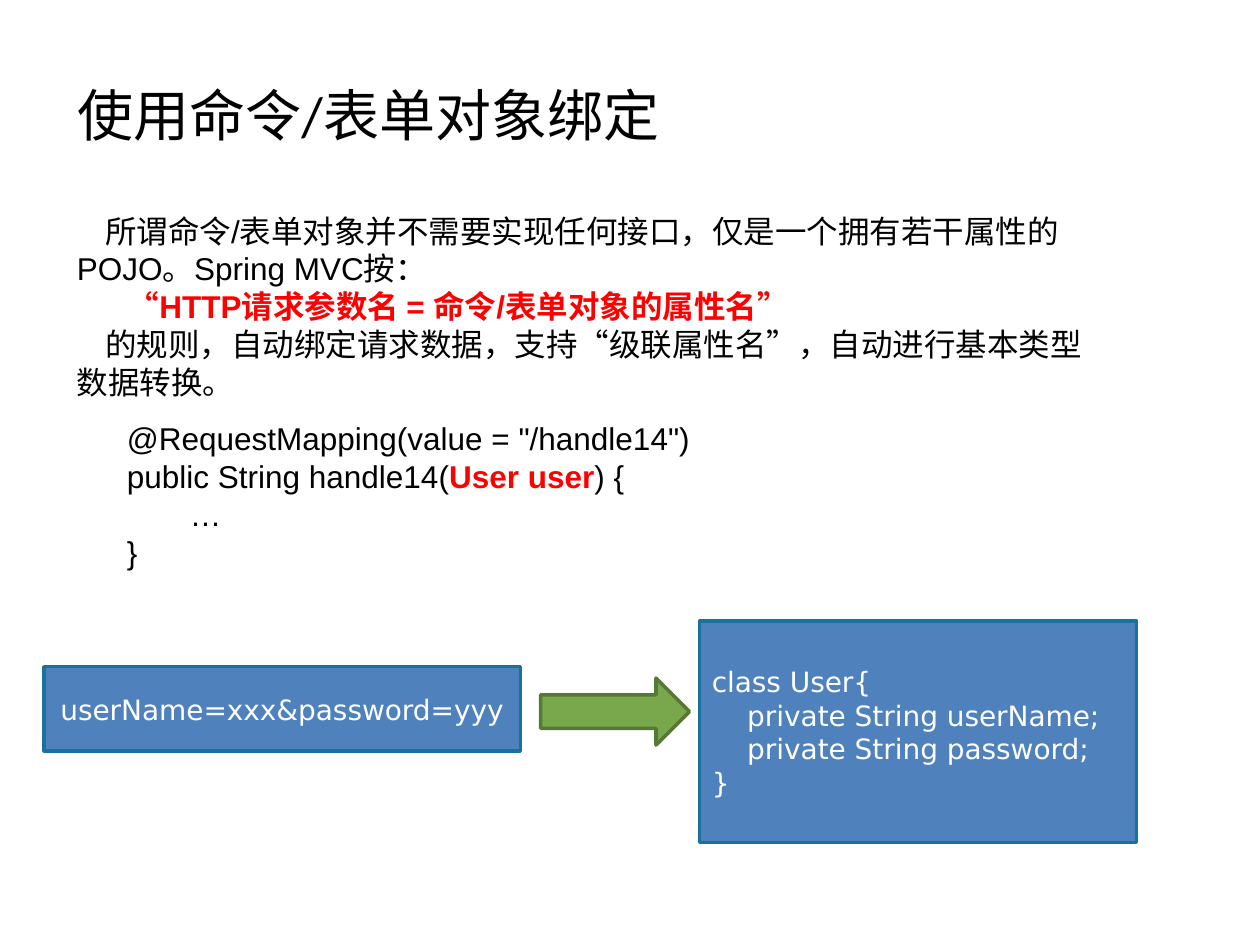
from dataclasses import dataclass

from pptx import Presentation
from pptx.dml.color import RGBColor
from pptx.enum import shapes, text
from pptx.util import Cm, Pt

BLACK, WHITE, RED = "000000", "FFFFFF", "FF0000"


@dataclass
class Run:
    content: str
    color: str = BLACK
    bold: bool = False


@dataclass
class Line:
    runs: list[Run]
    indent: float = 0


@dataclass
class Block:
    """A text area, with lengths in centimetres."""
    box: tuple[float, float, float, float]
    lines: list[Line]
    font: dict
    align: text.PP_ALIGN = text.PP_ALIGN.LEFT
    anchor: text.MSO_ANCHOR = text.MSO_ANCHOR.TOP


@dataclass
class Figure:
    kind: shapes.MSO_SHAPE
    fill: str
    outline: str


BODY_FONT = {"name": "Arial", "size": Pt(18)}
BOX_FONT = {"name": "DejaVu Sans", "size": Pt(16)}
BOX = Figure(shapes.MSO_SHAPE.RECTANGLE, "4F81BD", "19729E")
ARROW = Figure(shapes.MSO_SHAPE.RIGHT_ARROW, "78A84B", "567A35")

TITLE = Block((1.3, 0.71, 22.86, 3.18), [Line([Run("使用命令/表单对象绑定")])],
              {"name": "Calibri", "size": Pt(32)}, anchor=text.MSO_ANCHOR.MIDDLE)
EXPLANATION = Block((1.3, 4.14, 21.21, 4.06), [
    Line([Run("所谓命令/表单对象并不需要实现任何接口，仅是一个拥有若干属性的POJO。Spring MVC按：")], 0.57),
    Line([Run("“HTTP请求参数名 = 命令/表单对象的属性名”", RED, True)], 1.03),
    Line([Run("的规则，自动绑定请求数据，支持“级联属性名”，自动进行基本类型数据转换。")], 0.57),
], BODY_FONT)
HANDLER_CODE = Block((2.31, 8.33, 16.54, 3.3), [
    Line([Run('@RequestMapping(value = "/handle14")')]),
    Line([Run("public String handle14("), Run("User user", RED, True), Run(") {")]),
    Line([Run("\t…")]),
    Line([Run("}")]),
], BODY_FONT)
REQUEST = Block((0.89, 13.44, 9.6, 1.7), [Line([Run("userName=xxx&password=yyy", WHITE)])],
                BOX_FONT, text.PP_ALIGN.CENTER, text.MSO_ANCHOR.MIDDLE)
USER_CLASS = Block((14.1, 12.52, 8.81, 4.47), [
    Line([Run(code, WHITE)]) for code in (
        "class User{",
        "    private String userName;",
        "    private String password;",
        "}",
    )
], BOX_FONT, anchor=text.MSO_ANCHOR.MIDDLE)
ARROW_BOX = (10.9, 13.67, 3, 1.35)


def rgb(value: str) -> RGBColor:
    return RGBColor.from_string(value)


def lengths(box: tuple) -> list:
    return [Cm(value) for value in box]


def write(shape, block: Block) -> None:
    frame = shape.text_frame
    frame.word_wrap = True
    frame.vertical_anchor = block.anchor
    for number, line in enumerate(block.lines):
        paragraph = frame.add_paragraph() if number else frame.paragraphs[0]
        paragraph.alignment = block.align
        if line.indent:
            paragraph._p.get_or_add_pPr().set("indent", str(Cm(line.indent)))
        for part in line.runs:
            run = paragraph.add_run()
            run.text = part.content
            for attribute, value in {**block.font, "bold": part.bold}.items():
                setattr(run.font, attribute, value)
            run.font.color.rgb = rgb(part.color)


def draw_figure(slide, figure: Figure, box: tuple):
    shape = slide.shapes.add_shape(figure.kind, *lengths(box))
    shape.shadow.inherit = False
    shape.fill.solid()
    shape.fill.fore_color.rgb = rgb(figure.fill)
    shape.line.color.rgb = rgb(figure.outline)
    shape.line.width = Pt(2)
    return shape


def main() -> None:
    presentation = Presentation()
    presentation.slide_width, presentation.slide_height = Cm(25.4), Cm(19.05)
    slide = presentation.slides.add_slide(presentation.slide_layouts[5])

    title = slide.shapes.title
    title.left, title.top, title.width, title.height = lengths(TITLE.box)
    write(title, TITLE)
    for block in (EXPLANATION, HANDLER_CODE):
        write(slide.shapes.add_textbox(*lengths(block.box)), block)
    for block in (REQUEST, USER_CLASS):
        write(draw_figure(slide, BOX, block.box), block)
    draw_figure(slide, ARROW, ARROW_BOX)

    presentation.save("out.pptx")


if __name__ == "__main__":
    main()
